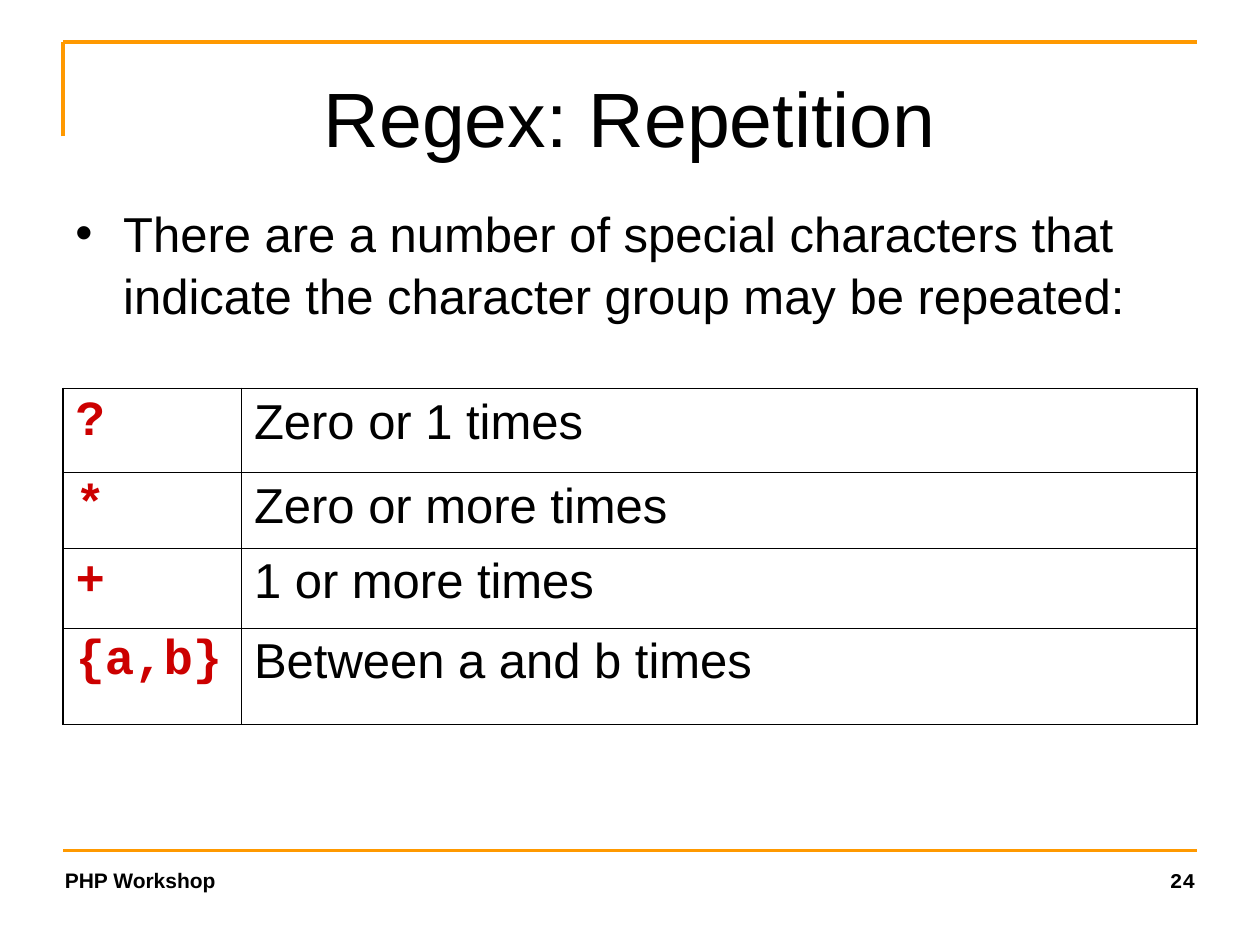
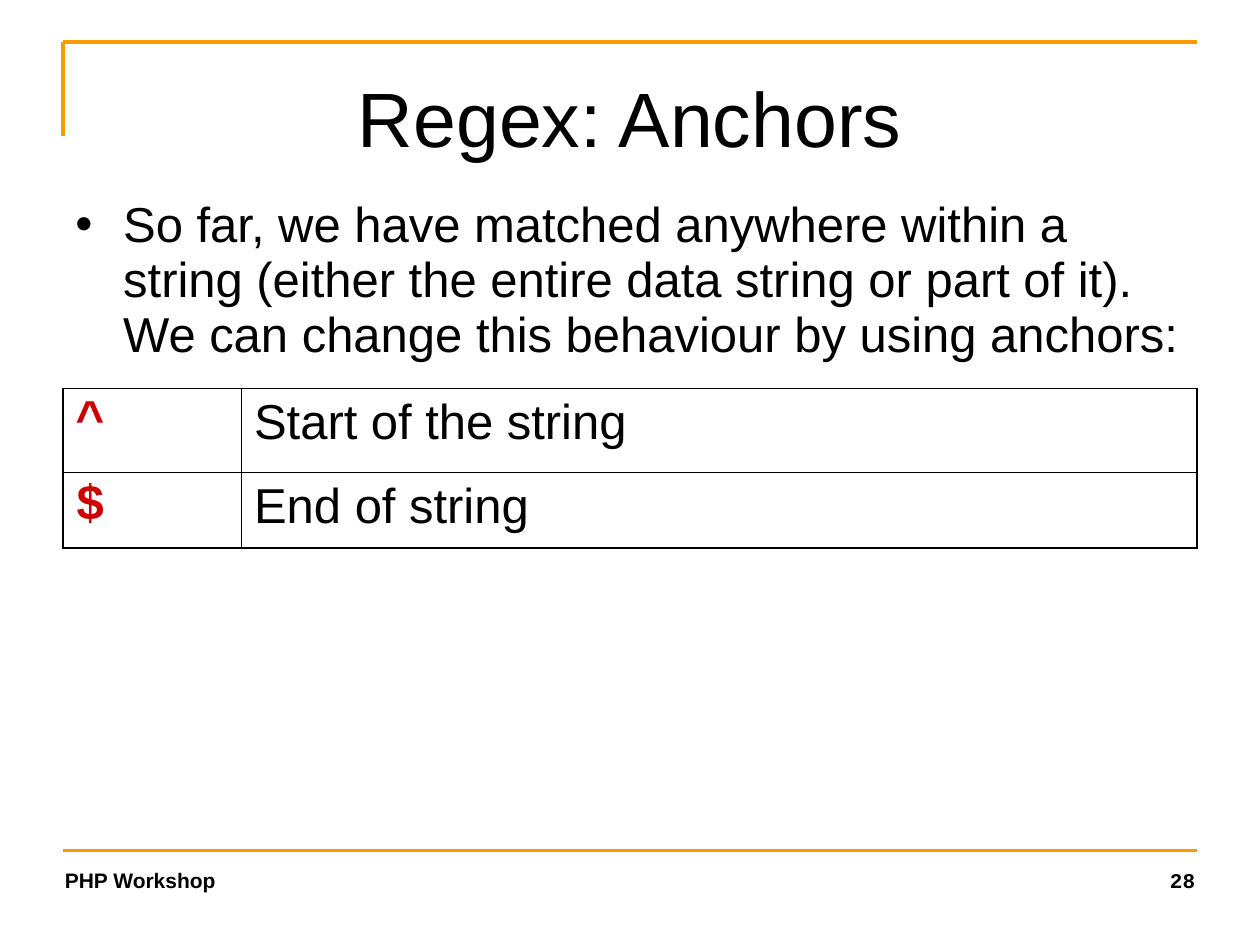
from dataclasses import dataclass

from lxml import etree
from pptx import Presentation
from pptx.dml.color import RGBColor
from pptx.enum.shapes import MSO_CONNECTOR
from pptx.enum.text import MSO_ANCHOR, PP_ALIGN
from pptx.oxml.ns import qn
from pptx.slide import Slide
from pptx.util import Inches, Pt

LINE = MSO_CONNECTOR.STRAIGHT
TOP, MIDDLE = MSO_ANCHOR.TOP, MSO_ANCHOR.MIDDLE
LEFT, CENTER, RIGHT = PP_ALIGN.LEFT, PP_ALIGN.CENTER, PP_ALIGN.RIGHT

WIDTH, HEIGHT = Inches(10), Inches(7.5)
COL, ROW = WIDTH / 120, HEIGHT / 90
EDGE, SPAN = 6, 108
BLACK, RED, AMBER = "000000", "CC0000", "FF9900"
THICK, THIN = 1.08, 0.45

TITLE = dict(name="Arial", size=Pt(44), bold=False)
BODY = dict(name="Arial", size=Pt(28), bold=False)
CODE = dict(name="Courier New", size=Pt(28), bold=True)
FOOT = dict(name="Arial", size=Pt(12), bold=True)
PAGE = dict(name="Courier New", size=Pt(12), bold=True)

RULES = [(6, 81, 114, 81), (6, 4, 114, 4), (6, 13, 6, 4)]
HEIGHTS = [8, 7.2, 7.6, 9.2]
SIDES = (17, SPAN - 17)


@dataclass
class Box:
    """A text area in grid columns and rows."""
    left: float
    top: float
    wide: float
    high: float
    font: dict
    align: PP_ALIGN = LEFT
    anchor: MSO_ANCHOR = TOP


@dataclass
class Topic:
    title: str
    page: str
    intro: str
    pairs: list[tuple[str, str]]
    high: float
    lead: float
    drop: float


HEAD_BOX = Box(EDGE, 3.6, SPAN, 15, TITLE, CENTER, MIDDLE)
FOOT_BOX = Box(5, 82, 29.8, 3.8, FOOT)
PAGE_BOX = Box(84.2, 82, 30.8, 3.8, PAGE, RIGHT)

TOPICS = [
    Topic("Regex: Repetition", "24",
          "There are a number of special characters that indicate "
          "the character group may be repeated:",
          [("?", "Zero or 1 times"), ("*", "Zero or more times"),
           ("+", "1 or more times"), ("{a,b}", "Between a and b times")],
          high=13, lead=1.05, drop=0.04),
    Topic("Regex: Anchors", "28",
          "So far, we have matched anywhere within a string (either the "
          "entire data string or part of it). We can change this behaviour "
          "by using anchors:",
          [("^", "Start of the string"), ("$", "End of string")],
          high=17, lead=0.94, drop=0.02),
]


def across(cols: float) -> int:
    return round(cols * COL)


def down(rows: float) -> int:
    return round(rows * ROW)


def paint(color: str) -> RGBColor:
    return RGBColor.from_string(color)


def style(font, form: dict, color: str = BLACK) -> None:
    for key, value in form.items():
        setattr(font, key, value)
    font.color.rgb = paint(color)


def write(slide: Slide, box: Box, text: str):
    shape = slide.shapes.add_textbox(across(box.left), down(box.top),
                                     across(box.wide), down(box.high))
    frame = shape.text_frame
    frame.word_wrap = True
    frame.vertical_anchor = box.anchor
    para = frame.paragraphs[0]
    para.alignment = box.align
    run = para.add_run()
    run.text = text
    style(run.font, box.font)
    return frame


def rule(slide: Slide, ends: tuple) -> None:
    left, top, right, base = ends
    line = slide.shapes.add_connector(LINE, across(left), down(top),
                                      across(right), down(base))
    line.line.color.rgb = paint(AMBER)
    line.line.width = Pt(2)
    etree.SubElement(line._element.spPr, qn("a:effectLst"))


def bullet(slide: Slide, topic: Topic) -> None:
    box = Box(EDGE, 18, SPAN, topic.high, BODY)
    frame = write(slide, box, topic.intro)
    frame.margin_top = Inches(0.05 + topic.drop)
    para = frame.paragraphs[0]
    para.line_spacing = topic.lead
    props = para._p.get_or_add_pPr()
    indent = Inches(0.38)
    props.set("marL", str(indent))
    props.set("indent", str(-indent))
    tint = etree.SubElement(props, qn("a:buClr"))
    etree.SubElement(tint, qn("a:srgbClr"), val=BLACK)
    etree.SubElement(props, qn("a:buFont"), typeface="Arial")
    etree.SubElement(props, qn("a:buChar"), char="•")


def border(cell, outer: dict[str, bool]) -> None:
    """Draw thick lines on outer sides and thin lines on the others."""
    props = cell._tc.get_or_add_tcPr()
    for side, thick in outer.items():
        width = Pt(THICK if thick else THIN)
        line = etree.SubElement(props, qn("a:ln" + side), w=str(width))
        fill = etree.SubElement(line, qn("a:solidFill"))
        etree.SubElement(fill, qn("a:srgbClr"), val=BLACK)


def grid(slide: Slide, pairs: list[tuple[str, str]]) -> None:
    count = len(pairs)
    sizes = HEIGHTS[:count]
    table = slide.shapes.add_table(count, 2, across(EDGE), down(37),
                                   across(SPAN), down(sum(sizes))).table
    table.first_row = table.horz_banding = False
    for col, wide in zip(table.columns, SIDES):
        col.width = across(wide)
    for i, (pair, high) in enumerate(zip(pairs, sizes)):
        table.rows[i].height = down(high)
        for j, text in enumerate(pair):
            cell = table.cell(i, j)
            border(cell, {"L": j == 0, "R": j == 1,
                          "T": i == 0, "B": i == count - 1})
            cell.fill.background()
            run = cell.text_frame.paragraphs[0].add_run()
            run.text = text
            style(run.font, *((BODY, BLACK) if j else (CODE, RED)))


def build(slide: Slide, topic: Topic) -> None:
    for ends in RULES:
        rule(slide, ends)
    write(slide, FOOT_BOX, "PHP Workshop")
    write(slide, PAGE_BOX, topic.page)
    write(slide, HEAD_BOX, topic.title)
    bullet(slide, topic)
    grid(slide, topic.pairs)


def main() -> None:
    deck = Presentation()
    deck.slide_width, deck.slide_height = WIDTH, HEIGHT
    for topic in TOPICS:
        build(deck.slides.add_slide(deck.slide_layouts[6]), topic)
    deck.save("out.pptx")


if __name__ == "__main__":
    main()
